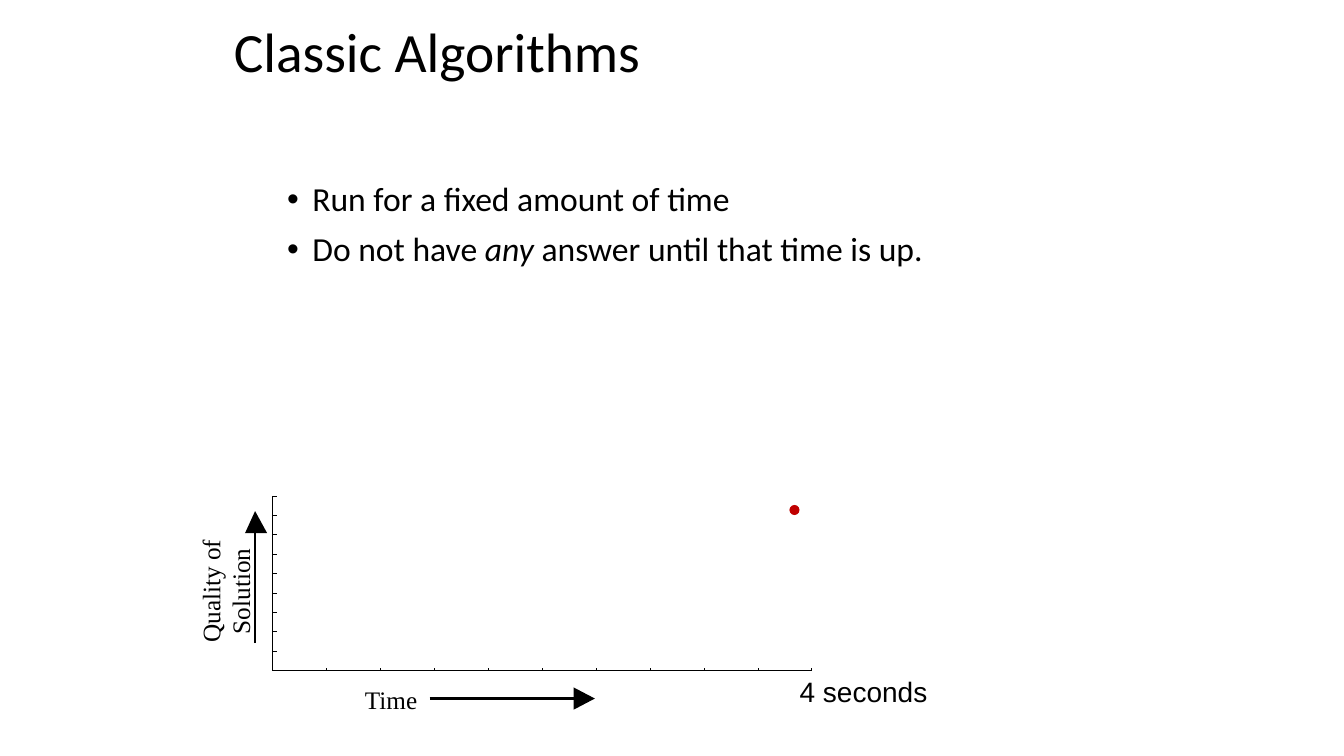
from lxml.etree import SubElement
from pptx import Presentation
from pptx.dml.color import RGBColor
from pptx.enum.shapes import MSO_CONNECTOR, MSO_SHAPE
from pptx.enum.text import MSO_ANCHOR
from pptx.oxml.ns import qn
from pptx.util import Inches, Pt

HUES = {"ink": "000000", "paper": "FFFFFF", "dot": "C00000"}

# Plot frame in inches
LEFT, TOP, RIGHT, BASE = 2.7, 4.92, 8.05, 6.65
COLS, ROWS = 10, 9


def hue(name):
    return RGBColor.from_string(HUES[name])


def style(run, font, size):
    run.font.name = font
    run.font.size = Pt(size)
    run.font.color.rgb = hue("ink")


def add_box(slide, left, top, width, height):
    box = slide.shapes.add_textbox(
        Inches(left), Inches(top), Inches(width), Inches(height))
    box.text_frame.word_wrap = True
    return box


def add_title(slide, text):
    frame = add_box(slide, 2.22, 0.21, 10.22, 0.67).text_frame
    frame.vertical_anchor = MSO_ANCHOR.MIDDLE
    frame.text = text
    frame.paragraphs[0].line_spacing = 0.9
    style(frame.paragraphs[0].runs[0], "Calibri", 39.6)


def add_list(slide, items):
    """Each item is a list of (text, italic) pieces."""
    frame = add_box(slide, 2.75, 1.76, 7.5, 1.09).text_frame
    for i, item in enumerate(items):
        para = frame.add_paragraph() if i else frame.paragraphs[0]
        para.line_spacing = 0.9
        para.space_before = Pt(10)
        props = para._p.get_or_add_pPr()
        props.set("marL", str(Inches(0.25)))
        props.set("indent", str(-Inches(0.25)))
        SubElement(props, qn("a:buFont")).set("typeface", "Arial")
        SubElement(props, qn("a:buChar")).set("char", "•")
        for text, slant in item:
            run = para.add_run()
            run.text = text
            style(run, "Calibri", 24)
            run.font.italic = slant


def add_label(slide, text, left, top, width, height,
              font="Times New Roman", size=18, turn=0):
    box = add_box(slide, left, top, width, height)
    box.rotation = turn
    frame = box.text_frame
    frame.margin_left = frame.margin_right = 0
    frame.margin_top = frame.margin_bottom = 0
    frame.text = text
    style(frame.paragraphs[0].runs[0], font, size)


def add_line(slide, x1, y1, x2, y2, width=0.25):
    line = slide.shapes.add_connector(
        MSO_CONNECTOR.STRAIGHT, Inches(x1), Inches(y1), Inches(x2), Inches(y2))
    line.line.color.rgb = hue("ink")
    line.line.width = Pt(width)
    SubElement(line._element.spPr, qn("a:effectLst"))


def add_head(slide, points):
    spots = [(Inches(x), Inches(y)) for x, y in points]
    form = slide.shapes.build_freeform(*spots[0], scale=1.0)
    form.add_line_segments(spots[1:], close=True)
    head = form.convert_to_shape()
    head.shadow.inherit = False
    head.fill.solid()
    head.fill.fore_color.rgb = hue("ink")
    head.line.fill.background()


def add_shape(slide, kind, left, top, width, height):
    shape = slide.shapes.add_shape(
        kind, Inches(left), Inches(top), Inches(width), Inches(height))
    shape.shadow.inherit = False
    return shape


def add_axes(slide):
    frame = add_shape(slide, MSO_SHAPE.RECTANGLE,
                      LEFT, TOP, RIGHT - LEFT, BASE - TOP)
    frame.fill.background()
    frame.line.color.rgb = hue("paper")
    frame.line.width = Pt(0.25)
    add_line(slide, LEFT, BASE, RIGHT, BASE)
    add_line(slide, LEFT, BASE, LEFT, TOP)
    # Ticks along both axes, and the two frame corners
    for i in range(COLS + 1):
        x = LEFT + i * (RIGHT - LEFT) / COLS
        add_line(slide, x, BASE, x, BASE - 0.02)
    for i in range(ROWS + 1):
        y = BASE - i * (BASE - TOP) / ROWS
        add_line(slide, LEFT, y, LEFT + 0.05, y)
    add_line(slide, LEFT, TOP, LEFT, TOP + 0.02)
    add_line(slide, RIGHT, BASE, RIGHT - 0.05, BASE)


def main():
    deck = Presentation()
    deck.slide_width, deck.slide_height = Inches(13.33), Inches(7.5)
    slide = deck.slides.add_slide(deck.slide_layouts[6])

    # Heading and points
    add_title(slide, "Classic Algorithms")
    add_list(slide, [
        [("Run for a fixed amount of time", False)],
        [("Do not have ", False), ("any", True),
         (" answer until that time is up.", False)],
    ])

    # Plot with axis names
    add_axes(slide)
    add_label(slide, "Time", 3.62, 6.79, 0.66, 0.36)
    add_label(slide, "Quality of", 1.49, 5.57, 1.25, 0.36, turn=270)
    add_label(slide, "Solution", 1.91, 5.61, 1, 0.36, turn=270)

    # Axis arrows
    add_line(slide, 4.26, 6.93, 5.69, 6.93, 1.5)
    add_head(slide, [(5.69, 7.04), (5.9, 6.93), (5.69, 6.82)])
    add_line(slide, 2.53, 6.38, 2.53, 5.28, 1.5)
    add_head(slide, [(2.65, 5.29), (2.53, 5.07), (2.43, 5.29)])

    # The one answer
    add_label(slide, "4 seconds", 7.93, 6.69, 1.32, 0.34, "Arial", 20)
    dot = add_shape(slide, MSO_SHAPE.OVAL, 7.83, 5.01, 0.1, 0.1)
    dot.fill.solid()
    dot.fill.fore_color.rgb = hue("dot")
    dot.line.fill.background()

    deck.save("out.pptx")


if __name__ == "__main__":
    main()
